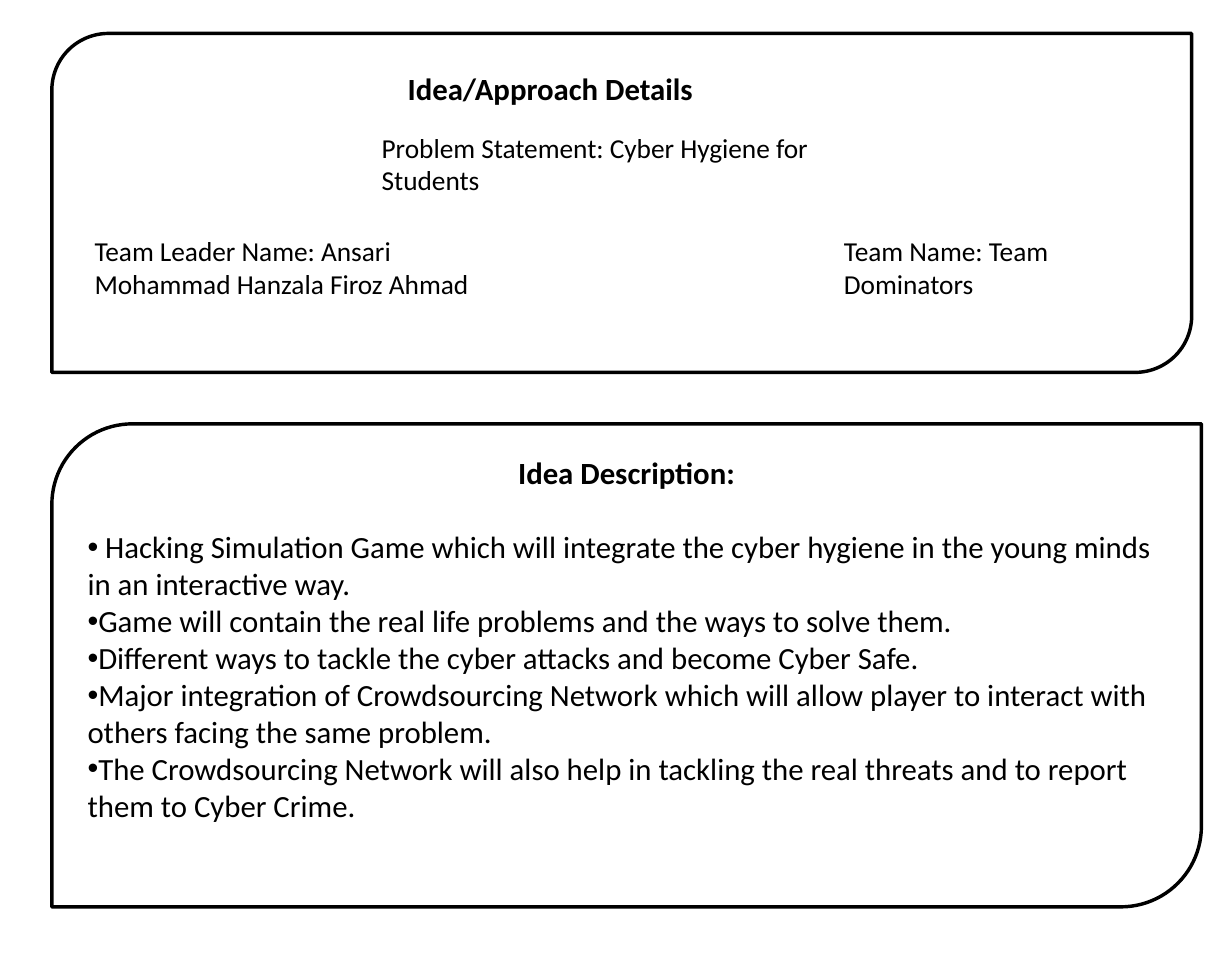
from dataclasses import dataclass

from lxml.etree import SubElement
from pptx import Presentation
from pptx.dml.color import RGBColor
from pptx.enum.shapes import MSO_SHAPE
from pptx.enum.text import MSO_ANCHOR, MSO_AUTO_SIZE, PP_ALIGN
from pptx.oxml.ns import qn
from pptx.util import Cm, Pt


@dataclass(frozen=True)
class Theme:
    """Colours, font and type sizes of the slide."""
    ink: RGBColor = RGBColor(0, 0, 0)
    paper: RGBColor = RGBColor(255, 255, 255)
    font: str = "Calibri"
    large: Pt = Pt(18)
    small: Pt = Pt(16)
    outline: Pt = Pt(2)


THEME = Theme()

IDEAS = [
    " Hacking Simulation Game which will integrate the cyber hygiene in the young minds in an interactive way.",
    "Game will contain the real life problems and the ways to solve them.",
    "Different ways to tackle the cyber attacks and become Cyber Safe.",
    "Major integration of Crowdsourcing Network which will allow player to interact with others facing the same problem.",
    "The Crowdsourcing Network will also help in tackling the real threats and to report them to Cyber Crime.",
]

DETAILS = [
    ("Problem Statement: Cyber Hygiene for Students", 7.62, 2.57, 10.16),
    ("Team Leader Name: Ansari Mohammad Hanzala Firoz Ahmad", 1.7, 4.7, 9.32),
    ("Team Name: Team Dominators", 17.15, 4.7, 6.2),
]


def apply(obj, formats):
    """Set every attribute named in a dict of format values."""
    for name, value in formats.items():
        setattr(obj, name, value)


def write(p, text, size, bold=False, align=PP_ALIGN.LEFT):
    """Write one formatted run into a paragraph."""
    p.alignment = align
    r = p.add_run()
    r.text = text
    apply(r.font, {"name": THEME.font, "size": size, "bold": bold})
    r.font.color.rgb = THEME.ink


def add_bullet(tf, text):
    """Add a bulleted paragraph without a hanging indent."""
    p = tf.add_paragraph()
    write(p, text, THEME.large)
    pPr = p._p.get_or_add_pPr()
    apply_xml = {"marL": "0", "indent": "0"}
    for name, value in apply_xml.items():
        pPr.set(name, value)
    SubElement(pPr, qn("a:buFont"), typeface="Arial")
    SubElement(pPr, qn("a:buChar"), char="•")


def add_panel(s, left, top, width, height):
    """Add an outlined panel with two rounded opposite corners."""
    sp = s.shapes.add_shape(MSO_SHAPE.ROUND_2_DIAG_RECTANGLE,
                            Cm(left), Cm(top), Cm(width), Cm(height))
    sp.shadow.inherit = False
    sp.fill.background()
    sp.line.color.rgb = THEME.ink
    sp.line.width = THEME.outline
    return sp


def add_description(s):
    """Add the panel with the heading and the list of ideas."""
    sp = add_panel(s, 1.07, 8.74, 23.7, 9.96)
    sp.fill.solid()
    sp.fill.fore_color.rgb = THEME.paper
    tf = sp.text_frame
    apply(tf, {"word_wrap": True, "vertical_anchor": MSO_ANCHOR.TOP})
    p = tf.paragraphs[0]
    write(p, "Idea Description:", THEME.large, True, PP_ALIGN.CENTER)
    p.space_after = Pt(22)
    for idea in IDEAS:
        add_bullet(tf, idea)


def add_title(s, text):
    """Place and format the title placeholder."""
    sp = s.shapes.title
    apply(sp, {"left": Cm(8.15), "top": Cm(1.32),
               "width": Cm(6.65), "height": Cm(1.02)})
    apply(sp.text_frame, {"word_wrap": True, "auto_size": MSO_AUTO_SIZE.NONE,
                          "vertical_anchor": MSO_ANCHOR.TOP})
    write(sp.text_frame.paragraphs[0], text, THEME.large, True)


def add_detail(s, text, left, top, width):
    """Add a wrapped text box with one detail."""
    sp = s.shapes.add_textbox(Cm(left), Cm(top), Cm(width), Cm(1.63))
    apply(sp.text_frame, {"word_wrap": True,
                          "auto_size": MSO_AUTO_SIZE.SHAPE_TO_FIT_TEXT})
    write(sp.text_frame.paragraphs[0], text, THEME.small)


def main():
    """Build the slide and save it."""
    prs = Presentation()
    apply(prs, {"slide_width": Cm(25.4), "slide_height": Cm(20)})
    s = prs.slides.add_slide(prs.slide_layouts[5])
    add_title(s, "Idea/Approach Details")
    add_description(s)
    add_panel(s, 1.07, 0.69, 23.5, 6.99)
    for detail in DETAILS:
        add_detail(s, *detail)
    prs.save("out.pptx")


if __name__ == "__main__":
    main()
